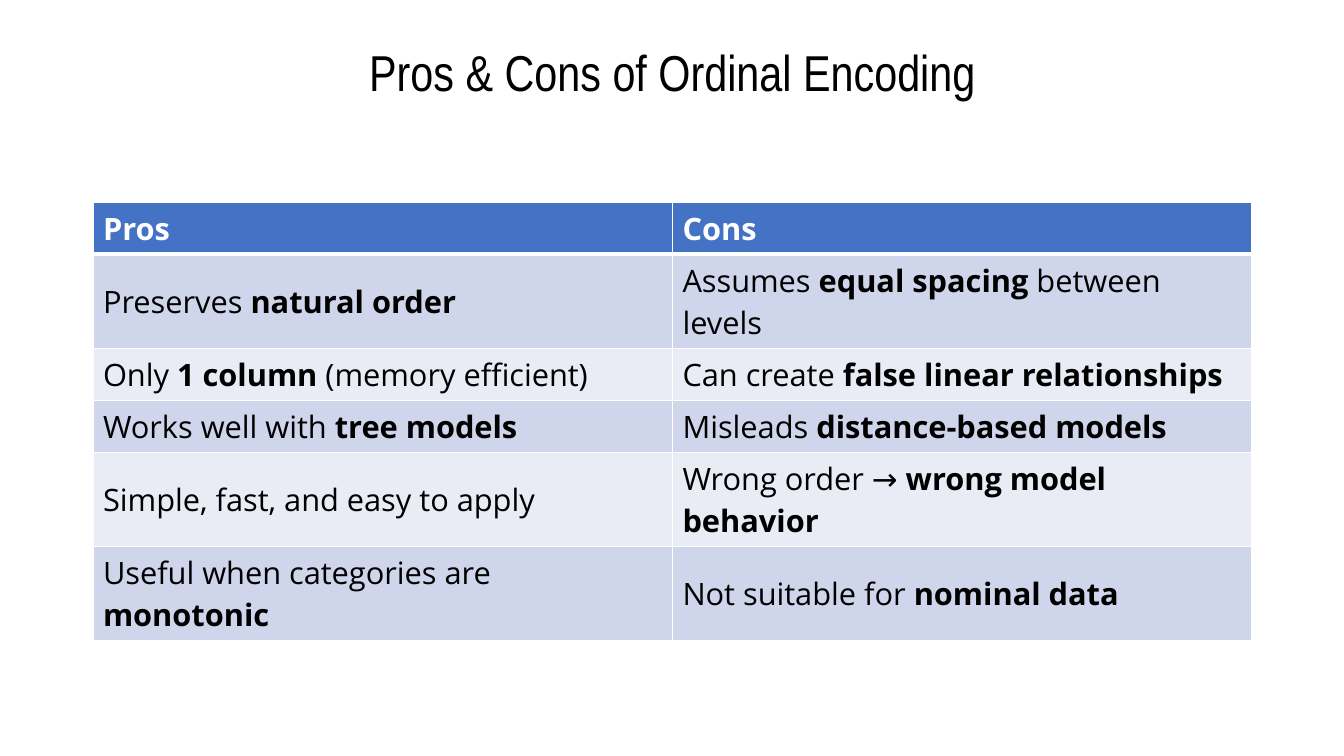
import pptx
import pptx.dml.color
import pptx.enum.text
import pptx.oxml
import pptx.oxml.ns
import pptx.util

RGBColor = pptx.dml.color.RGBColor
BLACK = RGBColor(0x00, 0x00, 0x00)
WHITE = RGBColor(0xFF, 0xFF, 0xFF)
HEADER_BLUE = RGBColor(0x44, 0x72, 0xC4)
BAND_DARK = RGBColor(0xCF, 0xD5, 0xEA)
BAND_LIGHT = RGBColor(0xE9, 0xEB, 0xF5)

EMU_PER_PX = 914400 / 100.8
TITLE_ONLY = 5

# Double asterisks enclose bold words
ROWS = [
    ("**Pros**", "**Cons**"),
    ("Preserves **natural order**", "Assumes **equal spacing** between levels"),
    ("Only **1 column** (memory efficient)", "Can create **false linear relationships**"),
    ("Works well with **tree models**", "Misleads **distance-based models**"),
    ("Simple, fast, and easy to apply", "Wrong order → **wrong model behavior**"),
    ("Useful when categories are **monotonic**", "Not suitable for **nominal data**"),
]


def px(length):
    return pptx.util.Emu(round(length * EMU_PER_PX))


class SlideBuilder:
    title_font, title_size = "Arial Narrow", 36
    body_font, body_size = "Open Sans", 22

    def __init__(self, presentation):
        self.slide = presentation.slides.add_slide(presentation.slide_layouts[TITLE_ONLY])

    def format_run(self, run, name, size, color, bold=False):
        run.font.name = name
        run.font.size = pptx.util.Pt(size)
        run.font.color.rgb = color
        run.font.bold = bold

    def title(self, text, left, top, width, height):
        shape = self.slide.shapes.title
        shape.left, shape.top = px(left), px(top)
        shape.width, shape.height = px(width), px(height)
        text_frame = shape.text_frame
        text_frame.text = text
        text_frame.vertical_anchor = pptx.enum.text.MSO_ANCHOR.MIDDLE
        paragraph = text_frame.paragraphs[0]
        paragraph.alignment = pptx.enum.text.PP_ALIGN.CENTER
        paragraph.line_spacing = 0.9
        self.format_run(paragraph.runs[0], self.title_font, self.title_size, BLACK)

    def border(self, cell, side, points):
        namespace = pptx.oxml.ns.nsdecls("a")
        line = pptx.oxml.parse_xml(
            f'<a:ln{side} {namespace} w="{pptx.util.Pt(points)}"><a:solidFill>'
            f'<a:srgbClr val="{WHITE}"/></a:solidFill></a:ln{side}>')
        cell._tc.get_or_add_tcPr().append(line)

    def cell(self, cell, text, row):
        # Borders come before the fill in the cell properties
        borders = {"L": 1, "R": 1, "T": 3 if row == 1 else 1, "B": 3 if row == 0 else 1}
        for side, points in borders.items():
            self.border(cell, side, points)
        cell.fill.solid()
        if row == 0:
            cell.fill.fore_color.rgb = HEADER_BLUE
        else:
            cell.fill.fore_color.rgb = BAND_DARK if row % 2 else BAND_LIGHT
        cell.vertical_anchor = pptx.enum.text.MSO_ANCHOR.MIDDLE
        paragraph = cell.text_frame.paragraphs[0]
        for index, part in enumerate(text.split("**")):
            if part:
                run = paragraph.add_run()
                run.text = part
                self.format_run(run, self.body_font, self.body_size,
                                BLACK if row else WHITE, bold=index % 2 == 1)

    def table(self, rows, left, top, width, height, row_height):
        shape = self.slide.shapes.add_table(
            len(rows), len(rows[0]), px(left), px(top), px(width), px(height))
        for row, texts in enumerate(rows):
            shape.table.rows[row].height = px(row_height)
            for column, text in enumerate(texts):
                self.cell(shape.table.cell(row, column), text, row)
        shape.height = px(height)


def main():
    presentation = pptx.Presentation()
    presentation.slide_width, presentation.slide_height = px(1344), px(756)
    builder = SlideBuilder(presentation)

    # Heading
    builder.title("Pros & Cons of Ordinal Encoding", 93, 40, 1159, 71)

    # Comparison table
    builder.table(ROWS, 93, 202, 1159, 393, row_height=41)

    presentation.save("out.pptx")


if __name__ == "__main__":
    main()
